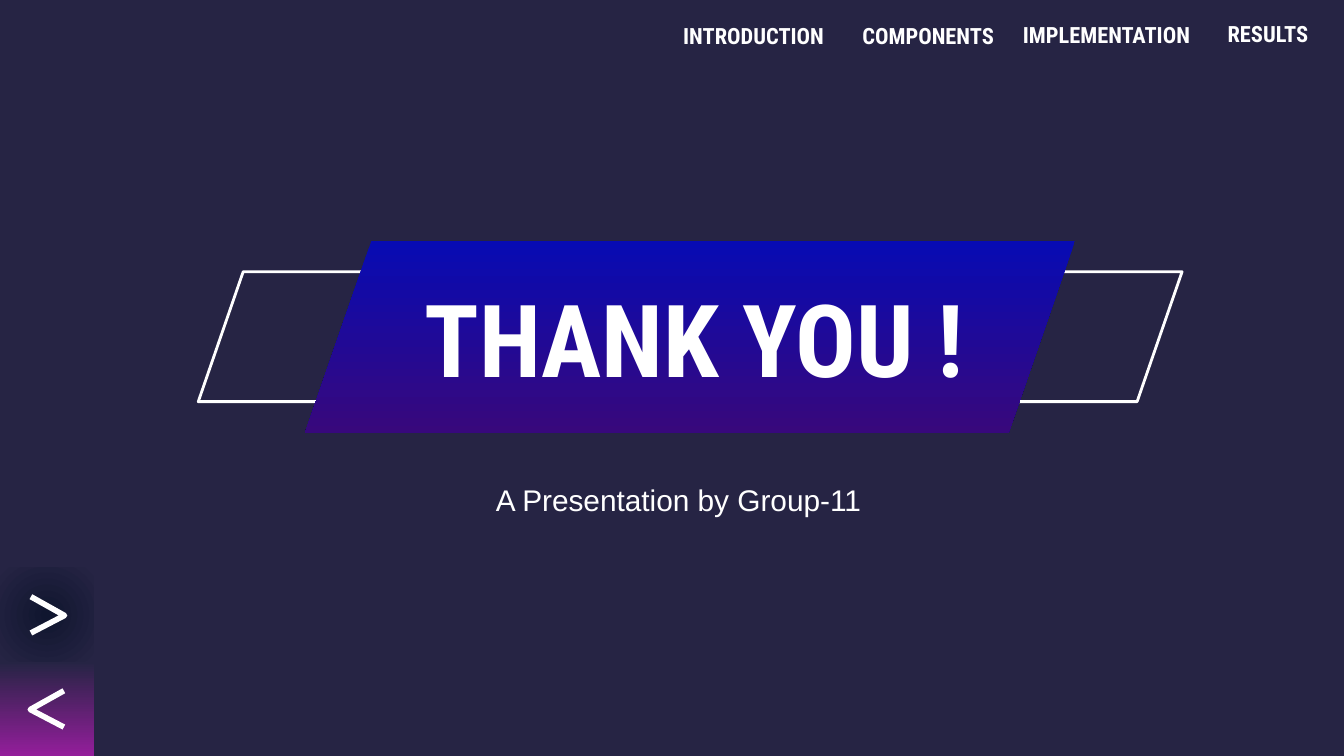
from lxml import etree
from pptx import Presentation
from pptx import util as u
from pptx.dml.color import RGBColor
from pptx.enum import shapes, text
from pptx.oxml import parse_xml
from pptx.oxml.ns import nsdecls, qn

NIGHT = RGBColor(0x26, 0x24, 0x44)
INK = RGBColor(0x10, 0x16, 0x2F)
BLUE = RGBColor(0x07, 0x0B, 0xB3)
VIOLET = RGBColor(0x38, 0x08, 0x7C)
MAGENTA = RGBColor(0x93, 0x1E, 0x9B)
WHITE = RGBColor(0xFF, 0xFF, 0xFF)
CELL = u.Inches(0.1)
HEADING = "Roboto Condensed"
BODY = "Arial"
SLANT = 0.346
CENTRE = (
    f'<a:path {nsdecls("a")} path="circle">'
    '<a:fillToRect l="50000" t="50000" r="50000" b="50000"/></a:path>'
)


class Slide:
    """Style and current page, measured in grid cells of a tenth of an inch."""

    def __init__(self, columns, rows):
        self.deck = Presentation()
        self.deck.slide_width, self.deck.slide_height = self.grid(columns, rows)
        self.page = self.deck.slides.add_slide(self.deck.slide_layouts[6])
        background = self.page.background.fill
        background.solid()
        background.fore_color.rgb = NIGHT

    def grid(self, *cells):
        return [round(cell * CELL) for cell in cells]

    def outline(self, shape, points):
        shape.shadow.inherit = False
        shape.fill.background()
        shape.line.color.rgb = WHITE
        shape.line.width = u.Pt(points)
        etree.SubElement(shape.line._get_or_add_ln(), qn("a:round"))

    def gradient(self, shape, colours, radial=False):
        shape.shadow.inherit = False
        shape.line.fill.background()
        shape.fill.gradient()
        shape.fill.gradient_angle = 270
        for stop, colour in zip(shape.fill.gradient_stops, colours):
            stop.color.rgb = colour
        if radial:
            linear = shape._element.spPr.find(".//" + qn("a:lin"))
            linear.getparent().replace(linear, parse_xml(CENTRE))

    def parallelogram(self, *cells):
        shape = self.page.shapes.add_shape(
            shapes.MSO_SHAPE.PARALLELOGRAM, *self.grid(*cells))
        shape.adjustments[0] = SLANT
        return shape

    def button(self, top, colours, forward):
        tile = self.page.shapes.add_shape(
            shapes.MSO_SHAPE.RECTANGLE, *self.grid(0, top, 7, 7))
        self.gradient(tile, colours, radial=forward)

    def chevron(self, top, forward):
        tail, tip = (2.3, 4.8) if forward else (4.75, 2.25)
        builder = self.page.shapes.build_freeform(*self.grid(tail, top))
        builder.add_line_segments(
            [self.grid(tip, top + 1.4), self.grid(tail, top + 2.7)], close=False)
        self.outline(builder.convert_to_shape(), 3)

    def label(self, words, cells, size, font=HEADING, bold=True,
              anchor=text.MSO_ANCHOR.MIDDLE):
        box = self.page.shapes.add_textbox(*self.grid(*cells))
        frame = box.text_frame
        frame.word_wrap = True
        frame.vertical_anchor = anchor
        frame.margin_left = frame.margin_right = CELL
        frame.margin_top = frame.margin_bottom = CELL
        para = frame.paragraphs[0]
        para.alignment = text.PP_ALIGN.CENTER
        span = para.add_run()
        span.text = words
        span.font.size = u.Pt(size)
        span.font.name = font
        span.font.bold = bold
        span.font.color.rgb = WHITE


def main():
    slide = Slide(100, 56.25)
    slide.outline(slide.parallelogram(14.75, 20.22, 73.2, 9.67), 1.5)
    slide.gradient(slide.parallelogram(22.7, 17.9, 57.3, 14.3), (BLUE, VIOLET))
    slide.label("A Presentation by Group-11", (14.54, 34.85, 71.9, 5), 16,
                BODY, False, text.MSO_ANCHOR.TOP)
    slide.label("THANK YOU !", (15.05, 19.95, 73.2, 10.3), 54)

    for top, colours, forward in (
        (49.25, (NIGHT, MAGENTA), False),
        (42.25, (INK, NIGHT), True),
    ):
        slide.button(top, colours, forward)
        slide.chevron(top + 2.15, forward)

    for words, left, top, width in (
        ("INTRODUCTION", 49.28, 0.84, 13.6),
        ("COMPONENTS", 62.87, 0.84, 12.4),
        ("IMPLEMENTATION", 74.84, 0.78, 15),
        ("RESULTS", 88.7, 0.7, 11.3),
    ):
        slide.label(words, (left, top, width, 3.6), 12)

    slide.deck.save("out.pptx")


if __name__ == "__main__":
    main()
